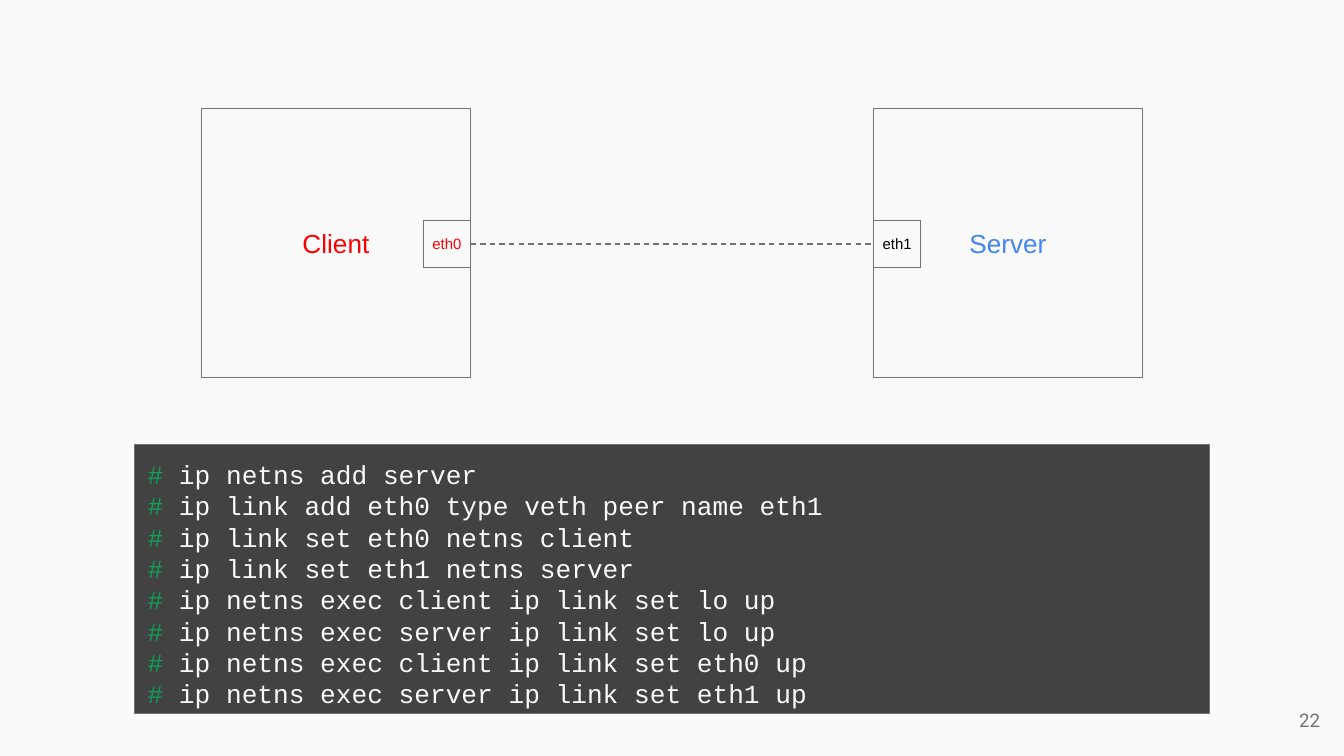
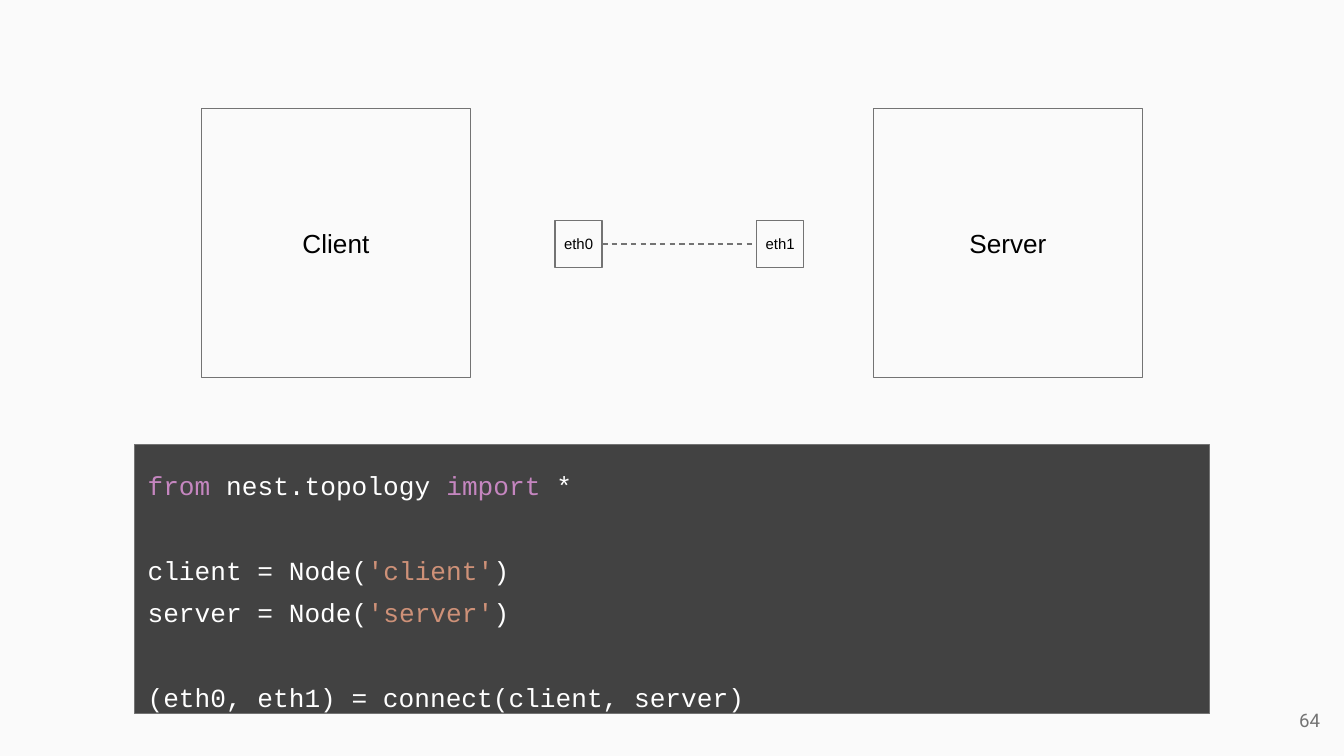
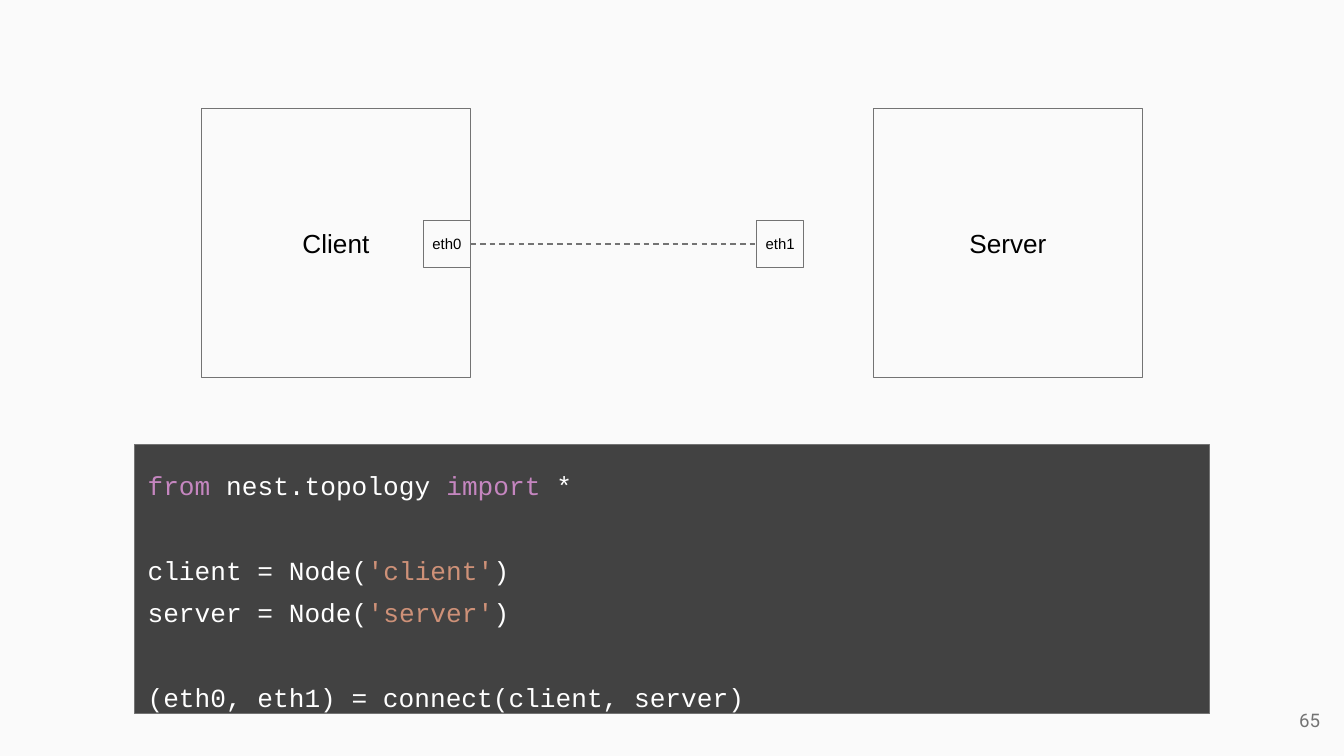
import dataclasses

import lxml.etree
import pptx
import pptx.dml.color
import pptx.enum.dml
import pptx.enum.shapes
import pptx.enum.text
import pptx.oxml.ns
import pptx.util

Inches = pptx.util.Inches
Align = pptx.enum.text.PP_ALIGN
Anchor = pptx.enum.text.MSO_ANCHOR


@dataclasses.dataclass(frozen=True)
class Theme:
    page: str = "FAFAFA"
    outline: str = "737373"
    terminal: str = "424242"
    black: str = "000000"
    white: str = "FFFFFF"
    red: str = "FF0000"
    blue: str = "4285F4"
    prompt: str = "0F9D58"
    keyword: str = "C586C0"
    string: str = "CE9178"
    label_font: str = "Arial"
    code_font: str = "Courier New"
    number_font: str = "Roboto"
    body_size: int = 14
    port_size: int = 8
    number_size: int = 10
    line_width: float = 0.75
    code_spacing: float = 1.35
    code_gap: float = 22.7


theme = Theme()


def write(para, runs, font, size):
    for text, colour in runs:
        span = para.add_run()
        span.text = text
        span.font.name = font
        span.font.size = pptx.util.Pt(size)
        span.font.color.rgb = pptx.dml.color.RGBColor.from_string(colour)


def add_box(page, left, top, width, height, inset, fill=None):
    box = page.shapes.add_shape(
        pptx.enum.shapes.MSO_SHAPE.RECTANGLE,
        Inches(left), Inches(top), Inches(width), Inches(height),
    )
    box.shadow.inherit = False
    if fill:
        box.fill.solid()
        box.fill.fore_color.rgb = pptx.dml.color.RGBColor.from_string(fill)
    else:
        box.fill.background()
    box.line.color.rgb = pptx.dml.color.RGBColor.from_string(theme.outline)
    box.line.width = pptx.util.Pt(theme.line_width)
    frame = box.text_frame
    frame.word_wrap = True
    frame.margin_left = frame.margin_right = Inches(inset)
    frame.margin_top = frame.margin_bottom = Inches(inset)
    frame.vertical_anchor = Anchor.MIDDLE
    frame.paragraphs[0].alignment = Align.CENTER
    return box


commands = [
    "ip netns add server",
    "ip link add eth0 type veth peer name eth1",
    "ip link set eth0 netns client",
    "ip link set eth1 netns server",
    "ip netns exec client ip link set lo up",
    "ip netns exec server ip link set lo up",
    "ip netns exec client ip link set eth0 up",
    "ip netns exec server ip link set eth1 up",
]
shell_groups = [[[("#", theme.prompt), (" " + command, theme.page)] for command in commands]]

node_lines = [
    [(f"{name} = Node(", theme.white), (f"'{name}'", theme.string), (")", theme.white)]
    for name in ("client", "server")
]
python_groups = [
    [[("from ", theme.keyword), ("nest.topology ", theme.white),
      ("import ", theme.keyword), ("*", theme.white)]],
    node_lines,
    [[("(eth0, eth1) = connect(client, server)", theme.white)]],
]

node_size, node_top = 2, 0.81
port_size, port_top = 0.35, 1.64
client_left, server_left = 1.5, 6.5
client_port = client_left + node_size - port_size

slides = [
    dict(number="22", ports=(client_port, server_left), client=theme.red, server=theme.blue,
         eth0=theme.red, code=shell_groups, spacing=1.0),
    dict(number="64", ports=(4.13, 5.63), client=theme.black, server=theme.black,
         eth0=theme.black, code=python_groups, spacing=theme.code_spacing),
    dict(number="65", ports=(client_port, 5.63), client=theme.black, server=theme.black,
         eth0=theme.black, code=python_groups, spacing=theme.code_spacing),
]

deck = pptx.Presentation()
deck.slide_width = Inches(10)
deck.slide_height = Inches(5.625)
backdrop = deck.slide_master.background.fill
backdrop.solid()
backdrop.fore_color.rgb = pptx.dml.color.RGBColor.from_string(theme.page)
blank_layout = deck.slide_layouts.get_by_name("Blank")

for content in slides:
    page = deck.slides.add_slide(blank_layout)

    for name, left, colour in (
        ("Client", client_left, content["client"]),
        ("Server", server_left, content["server"]),
    ):
        node = add_box(page, left, node_top, node_size, node_size, 0.1)
        write(node.text_frame.paragraphs[0], [(name, colour)], theme.label_font, theme.body_size)

    ports = []
    for name, left, colour in zip(("eth0", "eth1"), content["ports"], (content["eth0"], theme.black)):
        port = add_box(page, left, port_top, port_size, port_size, 0)
        write(port.text_frame.paragraphs[0], [(name, colour)], theme.label_font, theme.port_size)
        ports.append(port)

    link = page.shapes.add_connector(pptx.enum.shapes.MSO_CONNECTOR.STRAIGHT, 0, 0, 0, 0)
    link.begin_connect(ports[0], 3)
    link.end_connect(ports[1], 1)
    link.line.color.rgb = pptx.dml.color.RGBColor.from_string(theme.outline)
    link.line.width = pptx.util.Pt(theme.line_width)
    link.line.dash_style = pptx.enum.dml.MSO_LINE.DASH
    lxml.etree.SubElement(link._element.spPr, pptx.oxml.ns.qn("a:effectLst"))

    terminal = add_box(page, 1, 3.31, 8, 2, 0.1, theme.terminal)
    frame = terminal.text_frame
    frame.vertical_anchor = Anchor.TOP
    para = frame.paragraphs[0]
    for group_index, group in enumerate(content["code"]):
        for line_index, runs in enumerate(group):
            if group_index or line_index:
                para = frame.add_paragraph()
            para.alignment = Align.LEFT
            para.line_spacing = content["spacing"]
            if group_index and not line_index:
                para.space_before = pptx.util.Pt(theme.code_gap)
            write(para, runs, theme.code_font, theme.body_size)

    number = page.shapes.add_textbox(Inches(9.32), Inches(5.14), Inches(0.6), Inches(0.43))
    frame = number.text_frame
    frame.word_wrap = True
    frame.margin_left = frame.margin_right = Inches(0.1)
    frame.margin_top = frame.margin_bottom = Inches(0.1)
    frame.vertical_anchor = Anchor.MIDDLE
    frame.paragraphs[0].alignment = Align.RIGHT
    write(frame.paragraphs[0], [(content["number"], theme.outline)],
          theme.number_font, theme.number_size)

deck.save("out.pptx")
